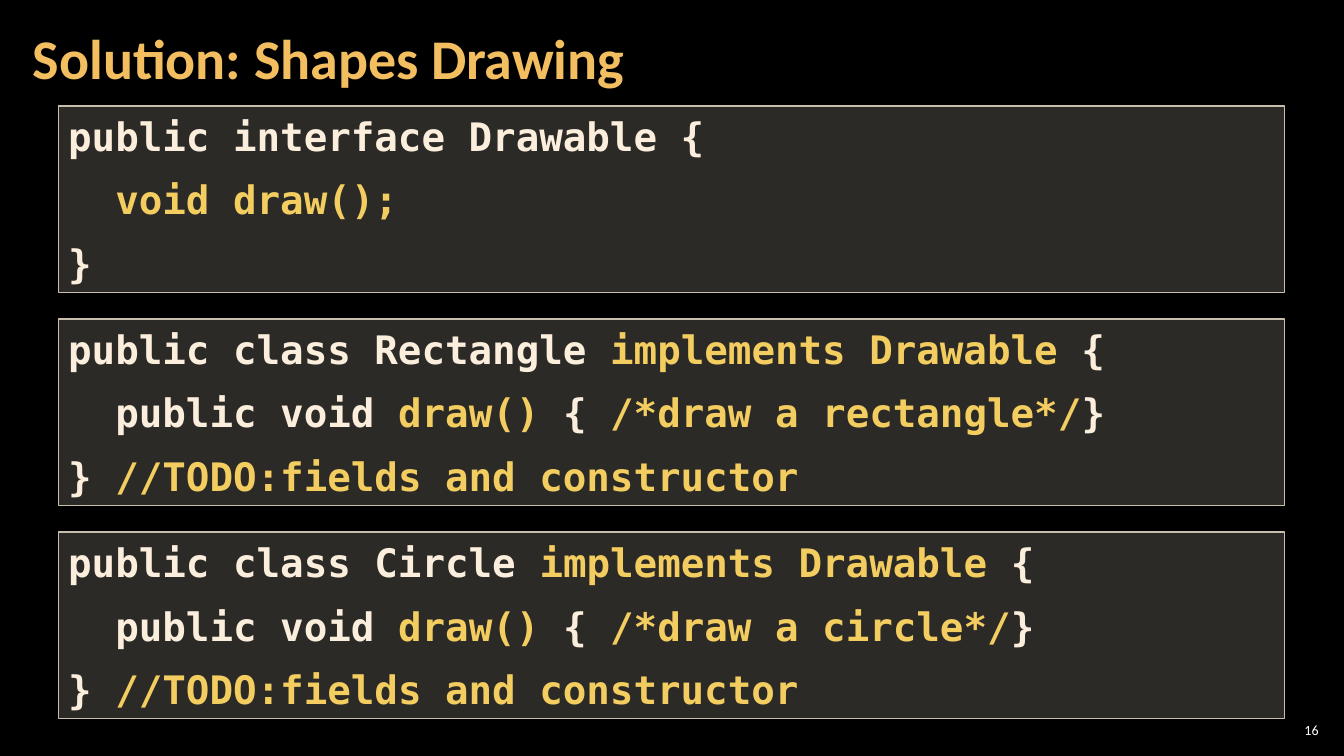
from dataclasses import dataclass

from lxml.etree import SubElement
from pptx import Presentation
from pptx.dml.color import RGBColor
from pptx.enum.shapes import MSO_SHAPE
from pptx.enum.text import MSO_ANCHOR, MSO_AUTO_SIZE, PP_ALIGN
from pptx.oxml.ns import qn
from pptx.util import Cm, Pt


@dataclass(frozen=True)
class Theme:
    background: str = "000000"
    title: str = "F3BE60"
    code: str = "FBEEDC"
    accent: str = "F3CD60"
    panel: str = "D9D5C7"
    border: str = "C7BFAC"
    number: str = "FFFFFF"
    text_font: str = "Calibri"
    code_font: str = "DejaVu Sans Mono"
    title_size: int = 40
    code_size: int = 28
    number_size: int = 10
    panel_opacity: int = 20


THEME = Theme()


def rgb(value):
    return RGBColor.from_string(value)


def add_span(para, text, font, size, color, bold=False):
    span = para.add_run()
    span.text = text
    span.font.name = font
    span.font.size = Pt(size)
    span.font.bold = bold
    span.font.color.rgb = rgb(color)


def add_label(page, area, side_inset):
    """Add a middle-anchored text box and return its frame."""
    frame = page.shapes.add_textbox(*map(Cm, area)).text_frame
    frame.word_wrap = True
    frame.vertical_anchor = MSO_ANCHOR.MIDDLE
    frame.margin_left = frame.margin_right = Cm(side_inset)
    frame.margin_top = frame.margin_bottom = Cm(0.1)
    return frame


def add_title(page, area, text):
    para = add_label(page, area, 0.3).paragraphs[0]
    para.line_spacing = 0.9
    add_span(para, text, THEME.text_font, THEME.title_size, THEME.title, True)


def add_page_number(page, area, number):
    para = add_label(page, area, 0.1).paragraphs[0]
    para.alignment = PP_ALIGN.RIGHT
    add_span(para, str(number), THEME.text_font, THEME.number_size, THEME.number)


def add_code_panel(page, area, lines):
    """Each line lists plain and highlighted spans in turn, plain first."""
    panel = page.shapes.add_shape(MSO_SHAPE.RECTANGLE, *map(Cm, area))
    panel.shadow.inherit = False
    panel.fill.solid()
    panel.fill.fore_color.rgb = rgb(THEME.panel)
    color = panel.fill._xPr.find(qn("a:solidFill"))[0]
    SubElement(color, qn("a:alpha"), val=str(THEME.panel_opacity * 1000))
    panel.line.color.rgb = rgb(THEME.border)
    panel.line.width = Pt(1)

    frame = panel.text_frame
    frame.word_wrap = True
    frame.auto_size = MSO_AUTO_SIZE.SHAPE_TO_FIT_TEXT
    frame.vertical_anchor = MSO_ANCHOR.MIDDLE
    for row, line in enumerate(lines):
        para = frame.add_paragraph() if row else frame.paragraphs[0]
        para.alignment = PP_ALIGN.LEFT
        if row:
            para.space_before = Pt(12)
        for index, text in enumerate(line):
            tone = THEME.accent if index % 2 else THEME.code
            add_span(para, text, THEME.code_font, THEME.code_size, tone, True)


def add_code_stack(page, area, pitch, listings):
    left, top, width, height = area
    for index, lines in enumerate(listings):
        add_code_panel(page, (left, top + index * pitch, width, height), lines)


def drawable_class(name):
    return [
        [f"public class {name} ", "implements Drawable ", "{"],
        ["  public void ", "draw() ", "{ ", f"/*draw a {name.lower()}*/", "}"],
        ["} ", "//TODO:fields and constructor"],
    ]


def main():
    deck = Presentation()
    deck.slide_width, deck.slide_height = Cm(33.87), Cm(19.05)
    page = deck.slides.add_slide(deck.slide_layouts[6])
    page.background.fill.solid()
    page.background.fill.fore_color.rgb = rgb(THEME.background)

    interface = [["public interface Drawable {"], ["  ", "void draw();"], ["}"]]
    listings = [interface, drawable_class("Rectangle"), drawable_class("Circle")]

    add_page_number(page, (32.13, 18.14, 1.2, 0.53), 16)
    add_title(page, (0.53, 0, 26.6, 3.07), "Solution: Shapes Drawing")
    add_code_stack(page, (1.47, 2.67, 30.91, 4.7), 5.37, listings)
    deck.save("out.pptx")


if __name__ == "__main__":
    main()
